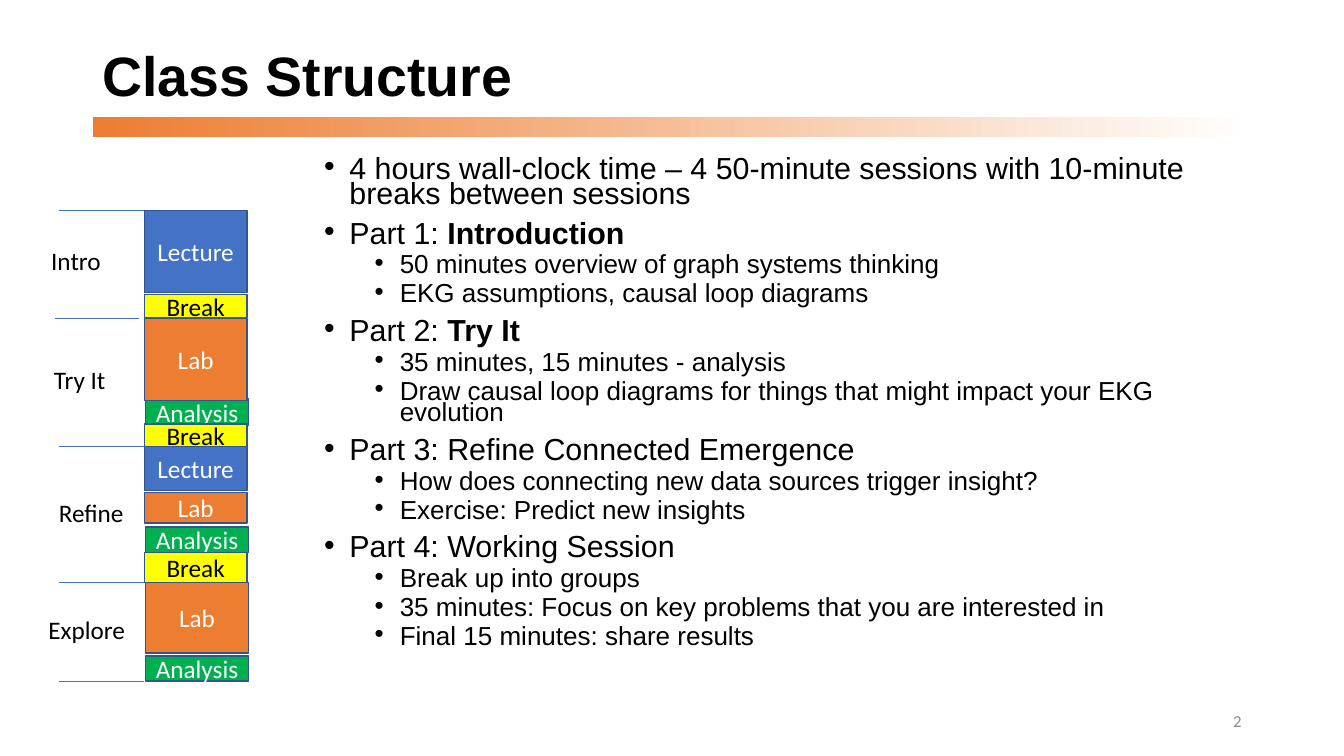
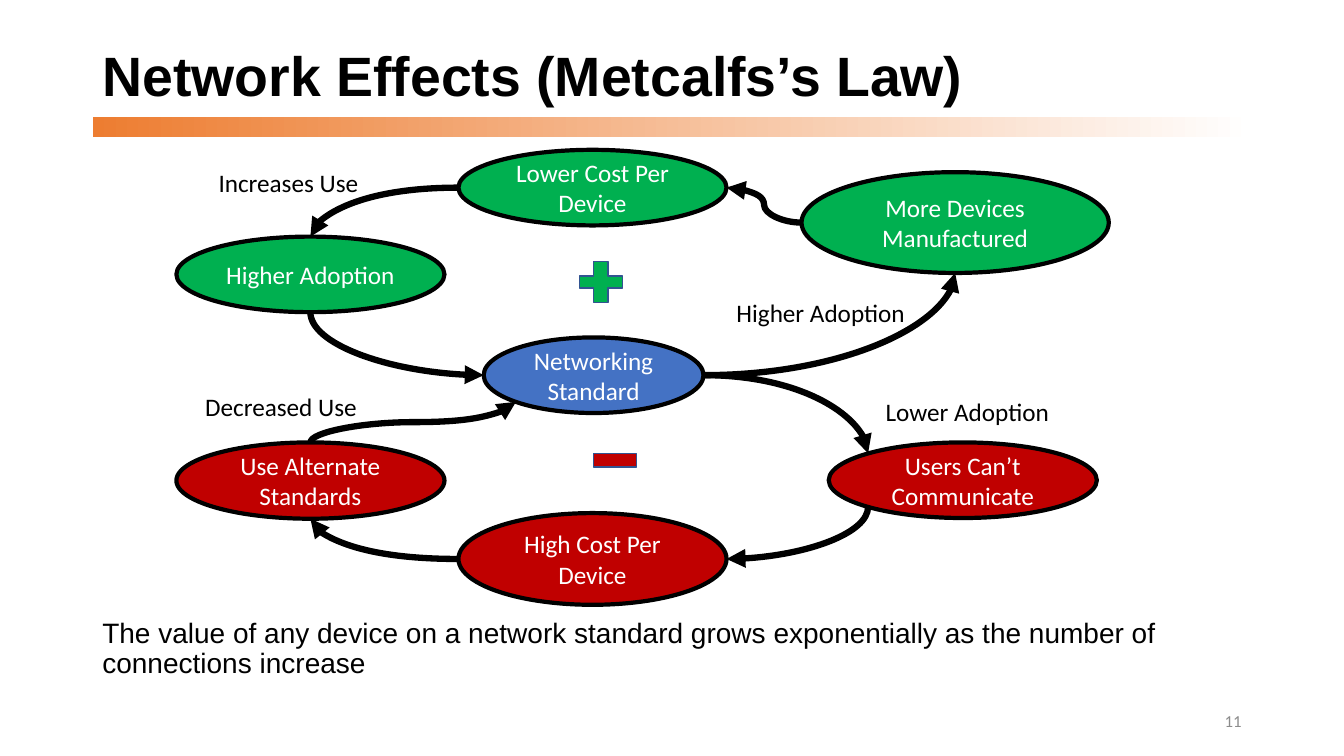
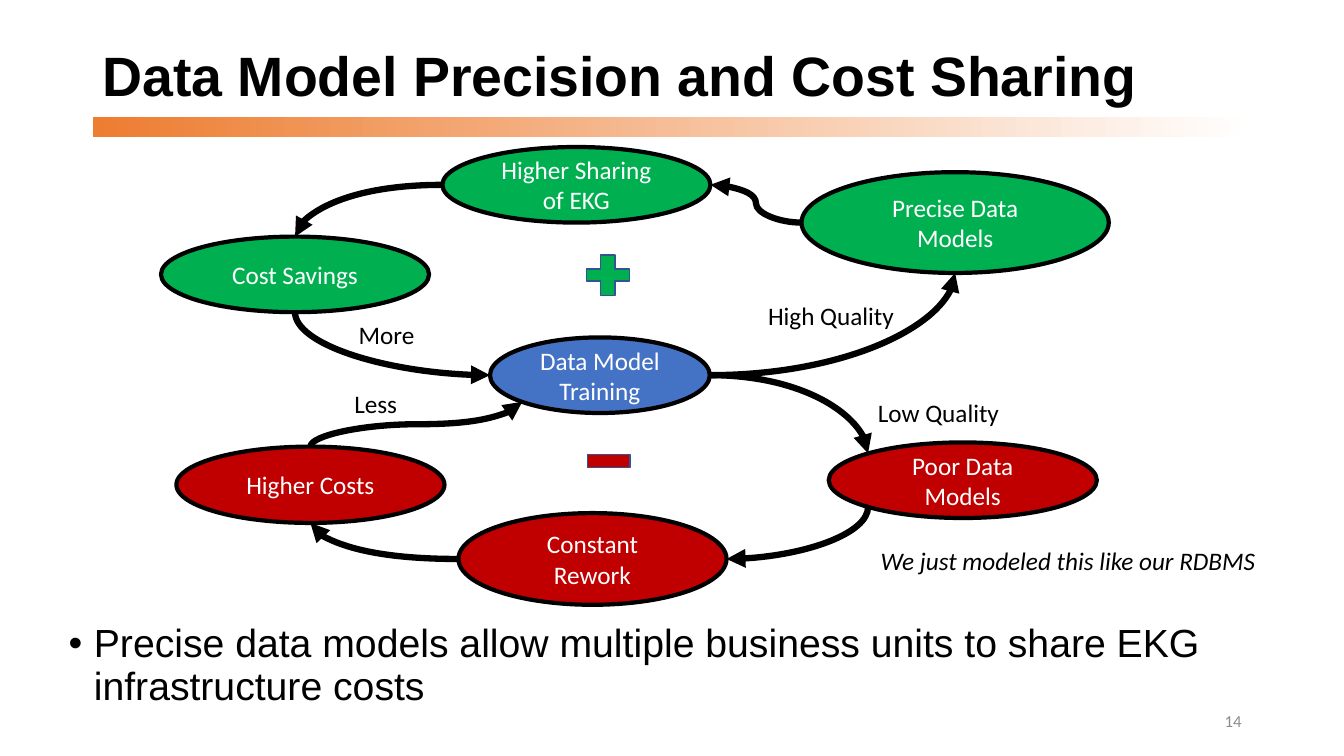
from collections import namedtuple
from math import cos, sin, radians
from lxml.etree import SubElement
from pptx import Presentation
from pptx.dml.color import RGBColor
from pptx.enum.shapes import MSO_CONNECTOR as LINK, MSO_SHAPE as SHAPE
from pptx.enum.text import MSO_ANCHOR as ANCHOR, MSO_AUTO_SIZE as FIT, PP_ALIGN as ALIGN
from pptx.oxml.ns import qn
from pptx.util import Pt

COLORS = {
    "black": "000000", "white": "FFFFFF", "gray": "8C8C8C", "edge": "325491",
    "blue": "4472C4", "orange": "ED7D31", "yellow": "FFFF00",
    "green": "00B050", "red": "C00000",
}
HEADING_FONT = "Arial"
LABEL_FONT = "Calibri"
LABEL_SIZE = 18
TITLE_ONLY = 5

Box = namedtuple("Box", "left top width height")
Turn = namedtuple("Turn", "rotation flip_h flip_v")

TITLE_BOX = Box(66, 29, 828, 54.5)
BAND_BOX = Box(66.5, 83.8, 828, 14.2)
NUMBER_BOX = Box(678, 500.5, 216, 28.8)

BLOCK_STYLES = {
    "Lecture": ("blue", "white"), "Break": ("yellow", "black"),
    "Lab": ("orange", "white"), "Analysis": ("green", "white"),
}
NODE_STYLES = {
    "hub": ("blue", 157, 54), "top": ("green", 191.5, 54),
    "upper right": ("green", 219.5, 72), "upper left": ("green", 191.5, 54),
    "lower right": ("red", 191.5, 54), "lower left": ("red", 191.5, 54.5),
    "bottom": ("red", 191.5, 65.5),
}
SITES = ("top", "top left", "left", "bottom left",
         "bottom", "bottom right", "right", "top right")
ARROWS = [
    ("top", "left", "upper left", "top", 2),
    ("hub", "right", "upper right", "bottom", 2),
    ("hub", "right", "lower right", "top left", 2),
    ("bottom", "left", "lower left", "bottom", 2),
    ("lower right", "bottom left", "bottom", "right", 2),
    ("upper right", "left", "top", "right", 3),
    ("upper left", "bottom", "hub", "left", 2),
    ("lower left", "top", "hub", "bottom left", 3),
]
TURNS = {
    ("across", True, True): Turn(0, 0, 0),
    ("across", True, False): Turn(0, 0, 1),
    ("across", False, True): Turn(180, 0, 1),
    ("across", False, False): Turn(180, 0, 0),
    ("along", False, True): Turn(90, 0, 0),
    ("along", True, True): Turn(270, 1, 0),
    ("along", True, False): Turn(90, 1, 1),
}


def color(name):
    return RGBColor.from_string(COLORS[name])


def points(*values):
    return [Pt(value) for value in values]


def add_span(para, text, size, ink, font=LABEL_FONT, bold=False, italic=False):
    span = para.add_run()
    span.text = text
    span.font.name, span.font.size = font, Pt(size)
    span.font.color.rgb = color(ink)
    span.font.bold, span.font.italic = bold, italic


def add_lines(frame, text, ink, align=ALIGN.LEFT, size=LABEL_SIZE, italic=False):
    for index, line in enumerate(text.split("\n")):
        para = frame.add_paragraph() if index else frame.paragraphs[0]
        para.alignment = align
        add_span(para, line, size, ink, italic=italic)


def add_figure(page, kind, box, fill, edge="edge", weight=1, text="", ink="white"):
    figure = page.shapes.add_shape(kind, *points(*box))
    figure.shadow.inherit = False
    figure.fill.solid()
    figure.fill.fore_color.rgb = color(fill)
    figure.line.color.rgb = color(edge)
    figure.line.width = Pt(weight)
    if text:
        figure.text_frame.vertical_anchor = ANCHOR.MIDDLE
        add_lines(figure.text_frame, text, ink, ALIGN.CENTER)
    return figure


def add_label(page, text, left, top, width, italic=False):
    label = page.shapes.add_textbox(*points(left, top, width, 29))
    label.text_frame.word_wrap = False
    label.text_frame.auto_size = FIT.SHAPE_TO_FIT_TEXT
    add_lines(label.text_frame, text, "black", italic=italic)


def add_link(page, kind, start, end, ink, weight):
    link = page.shapes.add_connector(kind, *points(*start, *end))
    link.line.color.rgb = color(ink)
    link.line.width = Pt(weight)
    SubElement(link._element.spPr, qn("a:effectLst"))
    return link


def add_arrow(page, source, source_site, target, target_site, bends):
    x1, y1 = site_point(source, source_site)
    x2, y2 = site_point(target, target_site)
    across = source_site in ("left", "right")
    turn = TURNS["across" if across else "along", x2 > x1, y2 > y1]
    width, height = abs(x2 - x1), abs(y2 - y1)
    if not across:
        width, height = height, width
    left, top = (x1 + x2 - width) / 2, (y1 + y2 - height) / 2
    arrow = add_link(page, LINK.CURVE, (left, top),
                     (left + width, top + height), "black", 4.5)
    properties = arrow._element.spPr
    frame = properties.find(qn("a:xfrm"))
    for name, value in (("rot", turn.rotation * 60000),
                        ("flipH", turn.flip_h), ("flipV", turn.flip_v)):
        if value:
            frame.set(name, str(value))
    properties.find(qn("a:prstGeom")).set("prst", f"curvedConnector{bends}")
    SubElement(properties.find(qn("a:ln")), qn("a:tailEnd"), type="triangle")
    glue = arrow._element.find(qn("p:nvCxnSpPr")).find(qn("p:cNvCxnSpPr"))
    for tag, node, site in (("a:stCxn", source, source_site),
                            ("a:endCxn", target, target_site)):
        SubElement(glue, qn(tag), id=str(node.shape_id), idx=str(SITES.index(site)))


def site_point(node, site):
    angle = radians(90 + 45 * SITES.index(site))
    return (node.left.pt + node.width.pt / 2 * (1 + cos(angle)),
            node.top.pt + node.height.pt / 2 * (1 - sin(angle)))


def add_page(deck, title, number):
    page = deck.slides.add_slide(deck.slide_layouts[TITLE_ONLY])
    heading = page.shapes.title
    heading.left, heading.top, heading.width, heading.height = points(*TITLE_BOX)
    frame = heading.text_frame
    frame.vertical_anchor, frame.auto_size = ANCHOR.MIDDLE, FIT.NONE
    para = frame.paragraphs[0]
    para.alignment, para.line_spacing = ALIGN.LEFT, 0.9
    add_span(para, title, 39.6, "black", HEADING_FONT, bold=True)

    band = page.shapes.add_shape(SHAPE.RECTANGLE, *points(*BAND_BOX))
    band.shadow.inherit = False
    band.line.fill.background()
    band.fill.gradient()
    band.fill.gradient_angle = 0
    for stop, name in zip(band.fill.gradient_stops, ("orange", "white")):
        stop.color.rgb = color(name)

    footer = page.shapes.add_textbox(*points(*NUMBER_BOX)).text_frame
    footer.word_wrap, footer.vertical_anchor = True, ANCHOR.MIDDLE
    add_lines(footer, str(number), "gray", ALIGN.RIGHT, 12)
    return page


def add_body(page, box, rows, sizes, spacing, bullets=True):
    frame = page.shapes.add_textbox(*points(*box)).text_frame
    frame.word_wrap = True
    for index, (level, text, strong) in enumerate(rows):
        para = frame.add_paragraph() if index else frame.paragraphs[0]
        para.level = level
        para.line_spacing = spacing
        para.space_before = Pt(5 if level else 10)
        add_span(para, text, sizes[level], "black", HEADING_FONT)
        if strong:
            add_span(para, strong, sizes[level], "black", HEADING_FONT, bold=True)
        if bullets:
            settings = para._p.get_or_add_pPr()
            settings.set("marL", str(Pt(18 + 36 * level)))
            settings.set("indent", str(Pt(-18)))
            SubElement(settings, qn("a:buFont"), typeface=HEADING_FONT)
            SubElement(settings, qn("a:buChar"), char="•")


def add_timeline(page, box, blocks, rules, labels):
    column = box.left + 76
    for name, top, height, nudge in blocks:
        fill, ink = BLOCK_STYLES[name]
        place = Box(column + nudge, box.top + top, box.width - 76, height)
        add_figure(page, SHAPE.RECTANGLE, place, fill, text=name, ink=ink)
    for left, top in rules:
        x, y = box.left + left, box.top + top
        add_link(page, LINK.STRAIGHT, (x, y), (x + 60.5, y), "blue", 0.5)
    for text, left, top, width in labels:
        add_label(page, text, box.left + left, box.top + top, width)


def add_loops(page, box, nodes, plus, minus, labels):
    figures = {}
    for role, (text, left, top) in nodes.items():
        fill, width, height = NODE_STYLES[role]
        place = Box(box.left + left, box.top + top, width, height)
        figures[role] = add_figure(page, SHAPE.OVAL, place, fill, "black", 3, text)
    for source, source_site, target, target_site, bends in ARROWS:
        add_arrow(page, figures[source], source_site,
                  figures[target], target_site, bends)
    sign = add_figure(page, SHAPE.CROSS, Box(box.left + plus[0], box.top + plus[1],
                                             30.5, 29), "green")
    sign.adjustments[0] = 0.35
    add_figure(page, SHAPE.RECTANGLE, Box(box.left + minus[0], box.top + minus[1],
                                          30.5, 9.5), "red")
    for text, left, top, width, italic in labels:
        add_label(page, text, box.left + left, box.top + top, width, italic)


def build_class_structure(deck):
    page = add_page(deck, "Class Structure", 2)
    add_body(page, Box(224.5, 110, 669.5, 376.5), [
        (0, "4 hours wall-clock time – 4 50-minute sessions with "
            "10-minute breaks between sessions", ""),
        (0, "Part 1: ", "Introduction"),
        (1, "50 minutes overview of graph systems thinking", ""),
        (1, "EKG assumptions, causal loop diagrams", ""),
        (0, "Part 2: ", "Try It"),
        (1, "35 minutes, 15 minutes - analysis", ""),
        (1, "Draw causal loop diagrams for things that might impact "
            "your EKG evolution", ""),
        (0, "Part 3: Refine Connected Emergence", ""),
        (1, "How does connecting new data sources trigger insight?", ""),
        (1, "Exercise: Predict new insights", ""),
        (0, "Part 4: Working Session", ""),
        (1, "Break up into groups", ""),
        (1, "35 minutes: Focus on key problems that you are interested in", ""),
        (1, "Final 15 minutes: share results", ""),
    ], (21.7, 18.6), 0.7)
    add_timeline(
        page, Box(27, 150.5, 149.5, 336),
        [("Lecture", 0, 58.5, 0), ("Break", 60, 16.5, 0),
         ("Analysis", 134, 19.5, 1), ("Lab", 77, 58.5, 0),
         ("Break", 152.5, 16, 0), ("Lecture", 168.5, 31.5, 0),
         ("Lab", 201.5, 21.5, 0), ("Analysis", 226, 18, 1),
         ("Break", 244, 21.5, 0), ("Lab", 265.5, 50.5, 1),
         ("Analysis", 318, 18, 1)],
        [(15.5, 0), (12, 77), (15.5, 168), (15.5, 265.5), (15.5, 336)],
        [("Intro", 2.5, 21.5, 50.5), ("Try It", 4.5, 106, 52),
         ("Refine", 8, 201, 61), ("Explore", 0.5, 284.5, 70)])


def build_network_effects(deck):
    page = add_page(deck, "Network Effects (Metcalfs’s Law)", 11)
    add_body(page, Box(66, 439, 828, 52), [
        (0, "The value of any device on a network standard grows exponentially "
            "as the number of connections increase", ""),
    ], (20,), 0.9, bullets=False)
    add_loops(page, Box(115, 105, 677, 327), {
        "hub": ("Networking\nStandard", 230.5, 136),
        "bottom": ("High Cost Per Device", 212.5, 261.5),
        "upper right": ("More Devices\nManufactured", 457.5, 18),
        "top": ("Lower Cost Per\nDevice", 212.5, 2),
        "lower right": ("Users Can’t Communicate", 477, 211),
        "upper left": ("Higher Adoption", 11, 64),
        "lower left": ("Use Alternate Standards", 11, 211),
    }, (299, 82), (309, 219), [
        ("Increases Use", 34, 11, 115, False),
        ("Lower Adoption", 510.5, 174.5, 132.5, False),
        ("Higher Adoption", 404, 104, 136, False),
        ("Decreased Use", 24.5, 171, 124, False),
    ])


def build_data_precision(deck):
    page = add_page(deck, "Data Model Precision and Cost Sharing", 14)
    add_body(page, Box(42, 442, 828, 70.5), [
        (0, "Precise data models allow multiple business units to share "
            "EKG infrastructure costs", ""),
    ], (28,), 0.9)
    add_loops(page, Box(115, 105, 677, 327), {
        "hub": ("Data Model\nTraining", 235, 136),
        "bottom": ("Constant Rework", 212.5, 261.5),
        "upper right": ("Precise Data Models", 457.5, 18),
        "top": ("Higher Sharing of EKG", 201, 0),
        "lower right": ("Poor Data Models", 477, 211),
        "upper left": ("Cost Savings", 0, 64),
        "lower left": ("Higher Costs", 11, 214),
    }, (304, 77), (304.5, 219.5), [
        ("Low Quality", 505, 175, 102, False),
        ("High Quality", 426.5, 106, 106, False),
        ("We just modeled this like our RDBMS", 507, 281, 288.5, True),
        ("More", 134, 119.5, 54.5, False),
        ("Less", 131, 168.5, 45.5, False),
    ])


def main():
    deck = Presentation()
    deck.slide_width, deck.slide_height = points(960, 540)
    build_class_structure(deck)
    build_network_effects(deck)
    build_data_precision(deck)
    deck.save("out.pptx")


if __name__ == "__main__":
    main()
